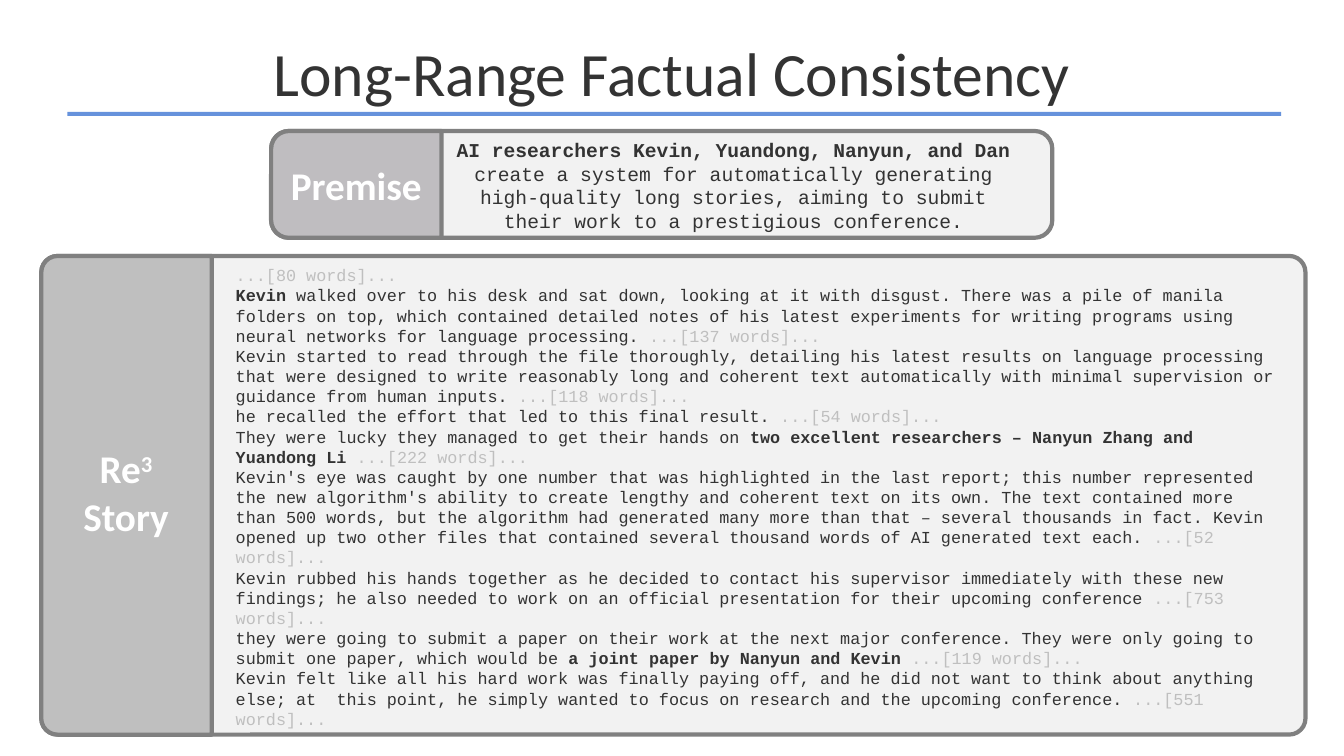
from dataclasses import dataclass

from pptx import Presentation
from pptx.dml.color import RGBColor
from pptx.enum.shapes import MSO_SHAPE
from pptx.enum.text import MSO_ANCHOR, MSO_AUTO_SIZE, PP_ALIGN
from pptx.util import Inches, Pt

RECT = MSO_SHAPE.RECTANGLE
ROUNDED = MSO_SHAPE.ROUNDED_RECTANGLE
ROUNDED_TOP = MSO_SHAPE.ROUND_2_SAME_RECTANGLE
TOP, MIDDLE = MSO_ANCHOR.TOP, MSO_ANCHOR.MIDDLE
LEFT, CENTER = PP_ALIGN.LEFT, PP_ALIGN.CENTER
NO_FIT = MSO_AUTO_SIZE.NONE

COLUMNS = 160
LABEL_COLUMNS = 20.28


@dataclass(frozen=True)
class Theme:
    ink: str = "333333"
    faded: str = "BFBFBF"
    white: str = "FFFFFF"
    accent: str = "6692DC"
    panel: str = "F2F2F2"
    border: str = "808080"
    premise_label: str = "BFBDC0"
    story_label: str = "BFBFBF"
    heading_font: str = "Calibri"
    story_font: str = "Courier New"
    title_size: int = 44
    label_size: int = 28
    premise_size: int = 14
    story_size: int = 12
    border_width: int = 3


def write(paragraph, text, font, size, color, bold=False, raised=False):
    run = paragraph.add_run()
    run.text = text
    run.font.name = font
    run.font.size = Pt(size)
    run.font.bold = bold
    run.font.color.rgb = RGBColor.from_string(color)
    if raised:
        run._r.get_or_add_rPr().set("baseline", "30000")


class SlideBuilder:
    def __init__(self, deck, theme):
        self.theme = theme
        self.slide = deck.slides.add_slide(deck.slide_layouts[6])
        self.unit = deck.slide_width / COLUMNS

    def place(self, *cells):
        return [round(cell * self.unit) for cell in cells]

    def shape(self, kind, box, fill, bordered=False):
        shape = self.slide.shapes.add_shape(kind, *self.place(*box))
        shape.shadow.inherit = False
        shape.fill.solid()
        shape.fill.fore_color.rgb = RGBColor.from_string(fill)
        if bordered:
            shape.line.color.rgb = RGBColor.from_string(self.theme.border)
            shape.line.width = Pt(self.theme.border_width)
        else:
            shape.line.fill.background()
        return shape

    def panel(self, box, radius, label_fill):
        left, top, width, height = box
        body = self.shape(ROUNDED, box, self.theme.panel, bordered=True)
        body.adjustments[0] = radius / min(width, height)
        shift = (height - LABEL_COLUMNS) / 2
        label_box = (left - shift, top + shift, height, LABEL_COLUMNS)
        label = self.shape(ROUNDED_TOP, label_box, label_fill, bordered=True)
        label.adjustments[0] = radius / min(height, LABEL_COLUMNS)
        label.adjustments[1] = 0
        label.rotation = 270

    def text(self, box, paragraphs, font, size, color, align=CENTER, anchor=TOP):
        frame = self.slide.shapes.add_textbox(*self.place(*box)).text_frame
        frame.word_wrap = True
        frame.auto_size = NO_FIT
        frame.vertical_anchor = anchor
        for index, runs in enumerate(paragraphs):
            paragraph = frame.add_paragraph() if index else frame.paragraphs[0]
            paragraph.alignment = align
            for words, changes in runs:
                write(paragraph, words, **{"font": font, "size": size, "color": color, **changes})


THEME = Theme()
PLAIN = {}
BOLD = {"bold": True}
RAISED = {"bold": True, "raised": True}
OMITTED = {"color": THEME.faded}

PREMISE = [[
    ("AI researchers Kevin, Yuandong, Nanyun, and Dan ", BOLD),
    ("create a system for automatically generating high-quality long stories, "
     "aiming to submit their work to a prestigious conference.", PLAIN),
]]

STORY = [
    ([], 80),
    ([("Kevin", BOLD),
      (" walked over to his desk and sat down, looking at it with disgust. There was a pile of "
       "manila folders on top, which contained detailed notes of his latest experiments for "
       "writing programs using neural networks for language processing. ", PLAIN)], 137),
    ([("Kevin started to read through the file thoroughly, detailing his latest results on "
       "language processing that were designed to write reasonably long and coherent text "
       "automatically with minimal supervision or guidance from human inputs. ", PLAIN)], 118),
    ([("he recalled the effort that led to this final result. ", PLAIN)], 54),
    ([("They were lucky they managed to get their hands on ", PLAIN),
      ("two excellent researchers – Nanyun Zhang and Yuandong Li ", BOLD)], 222),
    ([("Kevin's eye was caught by one number that was highlighted in the last report; this "
       "number represented the new algorithm's ability to create lengthy and coherent text on "
       "its own. The text contained more than 500 words, but the algorithm had generated many "
       "more than that – several thousands in fact. Kevin opened up two other files that "
       "contained several thousand words of AI generated text each. ", PLAIN)], 52),
    ([("Kevin rubbed his hands together as he decided to contact his supervisor immediately "
       "with these new findings; he also needed to work on an official presentation for their "
       "upcoming conference ", PLAIN)], 753),
    ([("they were going to submit a paper on their work at the next major conference. They "
       "were only going to submit one paper, which would be ", PLAIN),
      ("a joint paper by Nanyun and Kevin ", BOLD)], 119),
    ([("Kevin felt like all his hard work was finally paying off, and he did not want to think "
       "about anything else; at \tthis point, he simply wanted to focus on research and the "
       "upcoming conference. ", PLAIN)], 551),
]


def main():
    deck = Presentation()
    deck.slide_width, deck.slide_height = Inches(13.33), Inches(7.5)
    page = SlideBuilder(deck, THEME)
    heading = {"font": THEME.heading_font}
    label = {**heading, "size": THEME.label_size, "color": THEME.white, "anchor": MIDDLE}
    prose = {"font": THEME.story_font, "color": THEME.ink}

    page.shape(RECT, (8.04, 13.32, 144.5, 0.48), THEME.accent)
    page.text((0, 1.92, COLUMNS, 13.2), [[("Long-Range Factual Consistency", PLAIN)]],
              size=THEME.title_size, color=THEME.ink, anchor=MIDDLE, **heading)

    page.panel((32.28, 15.6, 93, 12.72), 2.12, THEME.premise_label)
    page.text((32.28, 15.6, LABEL_COLUMNS, 12.72), [[("Premise", BOLD)]], **label)
    page.text((52.44, 15.84, 69.84, 12.48), PREMISE, size=THEME.premise_size, **prose)

    page.panel((4.92, 30.48, 150.5, 57), 1.94, THEME.story_label)
    page.text((8.64, 52.32, 12.72, 12.48),
              [[("Re", BOLD), ("3", RAISED)], [("Story", BOLD)]], **label)
    page.text((26.88, 30.96, 126.12, 57),
              [[*runs, (f"...[{count} words]...", OMITTED)] for runs, count in STORY],
              size=THEME.story_size, align=LEFT, **prose)
    deck.save("out.pptx")


if __name__ == "__main__":
    main()
